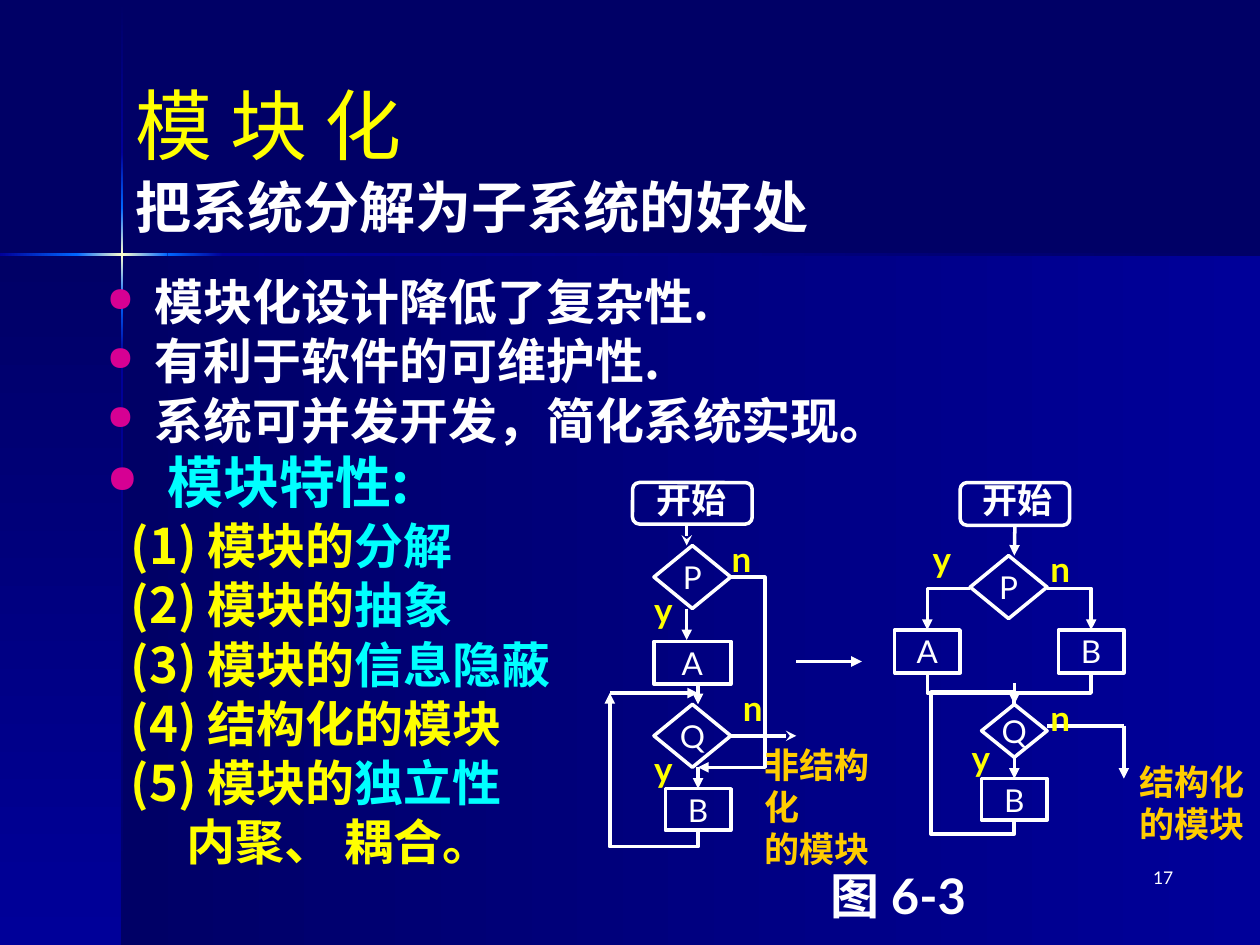
from itertools import pairwise

from lxml.etree import SubElement
from pptx import Presentation
from pptx.dml.color import RGBColor
from pptx.enum.shapes import MSO_CONNECTOR, MSO_SHAPE as SHAPE
from pptx.enum.text import MSO_ANCHOR as ANCHOR, PP_ALIGN as ALIGN
from pptx.oxml.ns import qn
from pptx.util import Cm, Pt

COLORS = dict(night="000066", navy="000099", blue="0066FF", glow="FFFFCC", white="FFFFFF",
              yellow="FFFF00", cyan="00FFFF", amber="FFCC00", bullet="D60093")
CJK, LATIN = "Noto Sans CJK SC", "Lato"

# All positions below are in inches
SLIDE = (10, 7.5)
CROSS = (0.97, 2.02)
PANELS = [((0.97, 2.02, 9.03, 5.48), "night", "navy", 0),
          ((0, 2.02, 0.97, 5.48), "night", "navy", 270)]
# Colour stops along the two rules that cross
DOWN_STOPS = [(0.01, "night"), (1.21, "navy"), (1.65, "blue"), (2.02, "glow"),
              (2.38, "blue"), (2.82, "navy"), (7.5, "night")]
ACROSS_STOPS = [(0, "navy"), (0.61, "blue"), (0.97, "glow"), (1.33, "blue"),
                (1.77, "navy"), (10, "night")]

# Kind of line: left margin, first-line indent, size, bulleted
KINDS = {"benefit": (0.38, -0.38, 28, True), "heading": (0.48, -0.48, 32, True),
         "feature": (0.19, 0, 28, False), "detail": (0.63, 0, 28, False)}
BODY = [
    ("benefit", [("模块化设计降低了复杂性.", "white")]),
    ("benefit", [("有利于软件的可维护性.", "white")]),
    ("benefit", [("系统可并发开发，简化系统实现。", "white")]),
    ("heading", [("模块特性:", "cyan")]),
    ("feature", [("(1) 模块的", "yellow"), ("分解", "cyan")]),
    ("feature", [("(2) 模块的", "yellow"), ("抽象", "cyan")]),
    ("feature", [("(3) 模块的", "yellow"), ("信息隐蔽", "cyan")]),
    ("feature", [("(4) 结构化的模块", "yellow")]),
    ("feature", [("(5) 模块的", "yellow"), ("独立性", "cyan")]),
    ("detail", [("内聚、 耦合。", "yellow")]),
]

# Flowchart steps: key -> preset, box, letter
ROUNDED, DIAMOND, BOX = SHAPE.FLOWCHART_ALTERNATE_PROCESS, SHAPE.DIAMOND, SHAPE.RECTANGLE
STEPS = {
    "start1": (ROUNDED, (5.02, 3.83, 0.95, 0.33), ""),
    "p1": (DIAMOND, (5.19, 4.33, 0.61, 0.5), "P"),
    "a1": (BOX, (5.19, 5.09, 0.61, 0.34), "A"),
    "q1": (DIAMOND, (5.19, 5.59, 0.61, 0.5), "Q"),
    "b1": (BOX, (5.28, 6.26, 0.52, 0.33), "B"),
    "start2": (ROUNDED, (7.62, 3.83, 0.87, 0.34), ""),
    "p2": (DIAMOND, (7.7, 4.41, 0.61, 0.5), "P"),
    "a2": (BOX, (7.1, 5, 0.52, 0.34), "A"),
    "b2": (BOX, (8.4, 5, 0.52, 0.34), "B"),
    "q2": (DIAMOND, (7.79, 5.59, 0.52, 0.42), "Q"),
    "loop2": (BOX, (7.79, 6.18, 0.52, 0.33), "B"),
}
# Straight flows: from, to, arrowhead, joined step at each end
FLOWS = [
    ((5.45, 4.16), (5.45, 4.33), "stealth", None, None),
    ((5.45, 4.83), (5.45, 5.08), "triangle", None, None),
    ((5.54, 5.42), (5.54, 5.59), "triangle", None, None),
    ((5.54, 6.09), (5.54, 6.26), "triangle", None, ("b1", 0)),
    ((4.84, 5.5), (5.54, 5.5), "triangle", None, None),
    ((5.8, 5.84), (6.32, 5.84), "stealth", ("q1", 3), None),
    ((6.32, 5.25), (6.84, 5.25), "triangle", None, None),
    ((8.05, 4.17), (8.05, 4.41), "triangle", ("start2", 2), None),
    ((8.05, 5.42), (8.05, 5.59), "triangle", None, None),
    ((8.05, 6.01), (8.05, 6.18), "triangle", ("q2", 2), ("loop2", 0)),
    ((8.31, 5.76), (8.92, 5.76), None, None, None),
    ((8.92, 5.76), (8.92, 6.18), "triangle", None, None),
]
# Flows with corners: points, arrowhead
BENT_FLOWS = [
    ([(5.8, 4.58), (6.07, 4.58), (6.07, 6.09), (5.54, 6.09)], "triangle"),
    ([(5.54, 6.59), (5.54, 6.72), (4.84, 6.72), (4.84, 5.5)], "triangle"),
    ([(8.31, 4.67), (8.66, 4.67), (8.66, 5)], "triangle"),
    ([(7.7, 4.67), (7.36, 4.67), (7.36, 5)], "triangle"),
    ([(7.36, 5.34), (7.36, 5.5), (8.66, 5.5), (8.66, 5.34)], None),
    ([(8.05, 5.59), (8.05, 5.49), (7.39, 5.49), (7.39, 6.62), (8.05, 6.62), (8.05, 6.51)], None),
]
BRANCHES = {"y": [(5.08, 4.62), (5.08, 5.88), (7.29, 4.22), (7.6, 5.8)],
            "n": [(5.7, 4.22), (5.79, 5.4), (8.23, 4.3), (8.23, 5.48)]}
# Captions: box, lines, format
CAPTIONS = [
    ((4.69, 3.75, 1.6, 0.44), ["开始"], {}),
    ((7.28, 3.75, 1.6, 0.44), ["开始"], {}),
    ((5.97, 5.85, 1.3, 0.8), ["非结构化", "的模块"], dict(color="amber", align=ALIGN.LEFT)),
    ((8.92, 5.99, 1.08, 0.8), ["结构化", "的模块"], dict(color="amber")),
    ((5.24, 6.82, 3.78, 0.57), ["图 6-3"], dict(size=28)),
    ((7.33, 6.83, 2.08, 0.5), ["17"], dict(size=10, bold=False, align=ALIGN.RIGHT)),
]

deck = Presentation()


def inch(value):
    return Cm(value * 2.54)


def rgb(name):
    return RGBColor.from_string(COLORS[name])


deck.slide_width, deck.slide_height = map(inch, SLIDE)
slide = deck.slides.add_slide(deck.slide_layouts[6])
shapes = slide.shapes
slide.background.fill.solid()
slide.background.fill.fore_color.rgb = rgb("night")


def add_run(paragraph, text, size, color, bold=True, font=LATIN):
    run = paragraph.add_run()
    run.text = text
    for name, value in dict(size=Pt(size), bold=bold, name=font).items():
        setattr(run.font, name, value)
    run.font.color.rgb = rgb(color)
    SubElement(run.font._element, qn("a:ea"), typeface=CJK)


def add_frame(box, anchor=ANCHOR.TOP, wrap=True):
    frame = shapes.add_textbox(*map(inch, box)).text_frame
    frame.word_wrap, frame.vertical_anchor = wrap, anchor
    return frame


def add_caption(box, lines, size=20, color="white", bold=True, align=ALIGN.CENTER, wrap=True):
    frame = add_frame(box, wrap=wrap)
    for i, line in enumerate(lines):
        paragraph = frame.add_paragraph() if i else frame.paragraphs[0]
        paragraph.alignment, paragraph.line_spacing = align, Pt(size * 1.2)
        add_run(paragraph, line, size, color, bold)


def add_gradient(box, first, last, angle):
    panel = shapes.add_shape(BOX, *map(inch, box))
    panel.shadow.inherit = False
    panel.line.fill.background()
    panel.fill.gradient()
    panel.fill.gradient_angle = angle
    for stop, color in zip(panel.fill.gradient_stops, (first, last)):
        stop.color.rgb = rgb(color)


def style_line(shape, head=None):
    shape.line.color.rgb = rgb("white")
    shape.line.width = Pt(2)
    if head:
        SubElement(shape.line._get_or_add_ln(), qn("a:tailEnd"), type=head)


# Background panels and crossing rules
for panel in PANELS:
    add_gradient(*panel)
for (start, first), (end, last) in pairwise(DOWN_STOPS):
    add_gradient((CROSS[0] - 0.01, start, 0.02, end - start), first, last, 270)
for (start, first), (end, last) in pairwise(ACROSS_STOPS):
    add_gradient((start, CROSS[1] - 0.01, end - start, 0.02), first, last, 0)

# Title
title = add_frame((0.98, 0.72, 8.33, 1.26), ANCHOR.MIDDLE).paragraphs[0]
title.line_spacing = Pt(40)
add_run(title, "模 块 化", 44, "yellow", False, CJK)
title.add_line_break()
add_run(title, "把系统分解为子系统的好处", 32, "white", True, CJK)

# Benefits and module features
body = add_frame((0.75, 2.2, 9.25, 4.95))
for i, (kind, parts) in enumerate(BODY):
    margin, indent, size, bulleted = KINDS[kind]
    paragraph = body.add_paragraph() if i else body.paragraphs[0]
    paragraph.line_spacing, paragraph.space_after = Pt(size * 0.96), Pt(7)
    props = paragraph._p.get_or_add_pPr()
    props.set("marL", str(inch(margin)))
    props.set("indent", str(inch(indent)))
    if bulleted:
        SubElement(SubElement(props, qn("a:buClr")), qn("a:srgbClr"), val=COLORS["bullet"])
        SubElement(props, qn("a:buSzPct"), val="70000")
        SubElement(props, qn("a:buChar"), char="●")
    for text, color in parts:
        add_run(paragraph, text, size, color, True, CJK)

# Flowchart steps
steps = {}
for key, (preset, box, letter) in STEPS.items():
    step = steps[key] = shapes.add_shape(preset, *map(inch, box))
    step.shadow.inherit = False
    step.fill.background()
    style_line(step)
    if letter:
        step.text_frame.word_wrap = False
        step.text_frame.vertical_anchor = ANCHOR.MIDDLE
        step.text_frame.paragraphs[0].alignment = ALIGN.CENTER
        add_run(step.text_frame.paragraphs[0], letter, 18, "white", False)

# Flows
for start, end, head, source, target in FLOWS:
    flow = shapes.add_connector(MSO_CONNECTOR.STRAIGHT, *map(inch, start + end))
    if source:
        flow.begin_connect(steps[source[0]], source[1])
    if target:
        flow.end_connect(steps[target[0]], target[1])
    style_line(flow, head)
    SubElement(flow._element.spPr, qn("a:effectLst"))
for points, head in BENT_FLOWS:
    corners = [(inch(x), inch(y)) for x, y in points]
    builder = shapes.build_freeform(*corners[0])
    builder.add_line_segments(corners[1:], close=False)
    flow = builder.convert_to_shape()
    flow.shadow.inherit = False
    flow.fill.background()
    style_line(flow, head)

# Branch labels and captions
for branch, places in BRANCHES.items():
    for x, y in places:
        add_caption((x, y, 0.37, 0.44), [branch], color="yellow", wrap=False)
for box, lines, look in CAPTIONS:
    add_caption(box, lines, **look)

deck.save("out.pptx")
